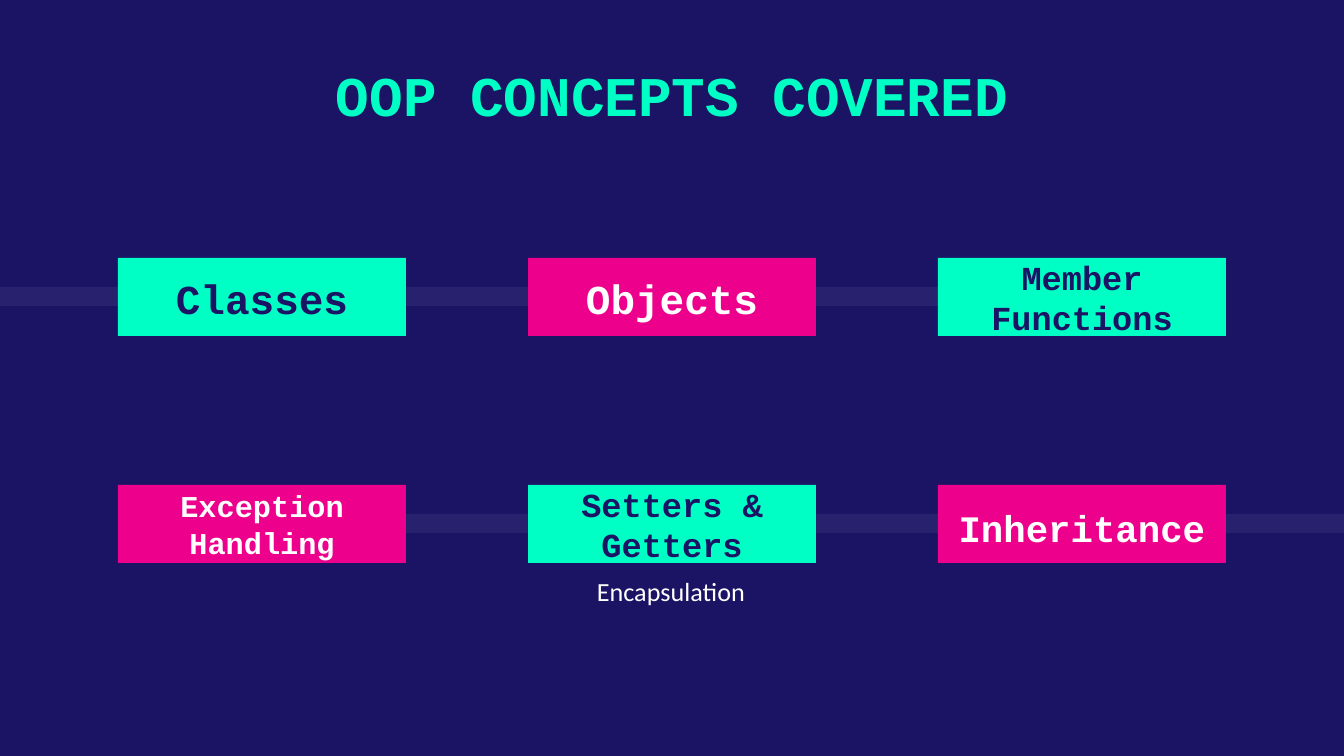
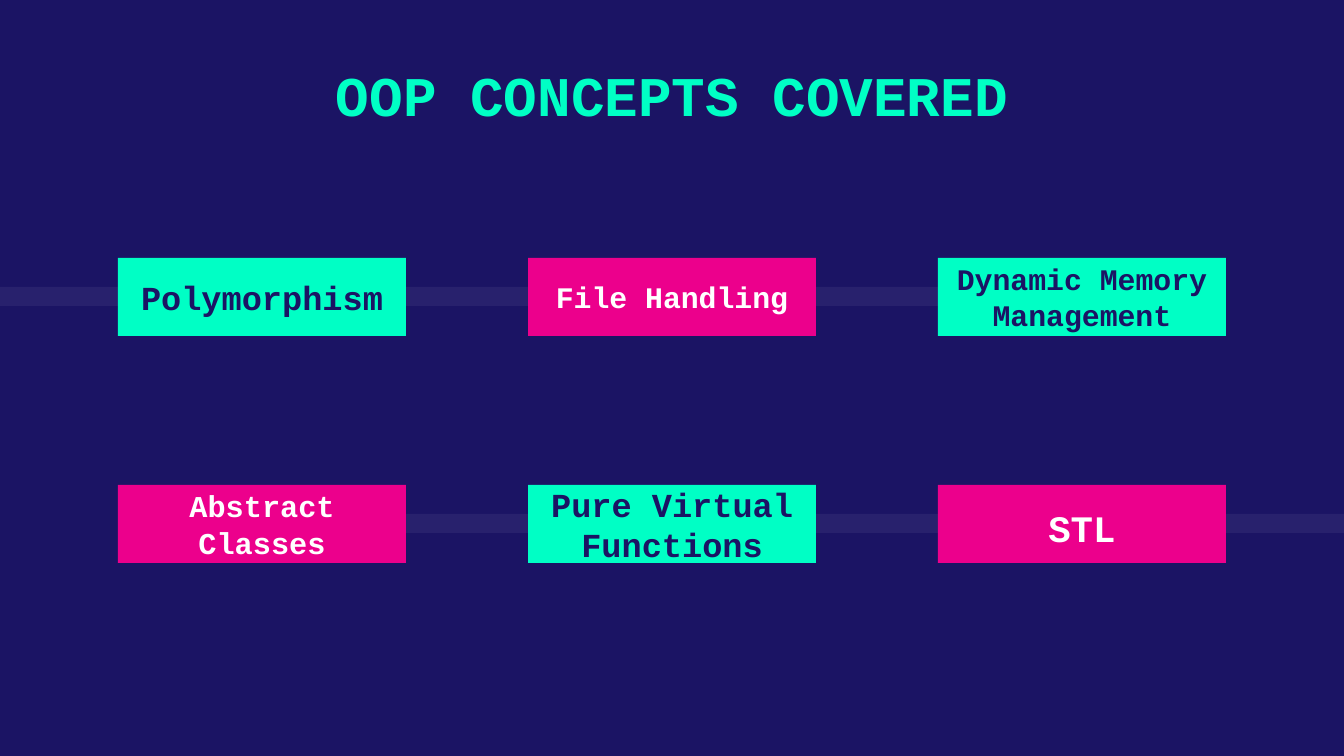
from dataclasses import dataclass

from lxml.etree import SubElement
from pptx import Presentation
from pptx.dml.color import RGBColor
from pptx.enum.shapes import MSO_SHAPE
from pptx.enum.text import MSO_ANCHOR, PP_ALIGN
from pptx.oxml.ns import qn
from pptx.shapes.autoshape import Shape
from pptx.slide import Slide
from pptx.util import Emu, Inches, Pt

# Scale and shared style
SLIDE_W, SLIDE_H = 1344, 756
EMU_PER_PX = 9144000 / SLIDE_W
NAVY, MINT, PINK, WHITE = "1B1464", "00FFC5", "EC008C", "FFFFFF"
MONO, SANS = "Courier New", "Calibri"
BAND_ALPHA = 6  # percent

# Card grid
COLS = 3
CARD_W, CARD_H = 288, 78
CARD_X, CARD_Y = 118, 258
PITCH_X, PITCH_Y = 410, 227


@dataclass(frozen=True)
class Box:
    x: int
    y: int
    w: int
    h: int


@dataclass(frozen=True)
class Card:
    text: str
    size: float
    anchor: MSO_ANCHOR = MSO_ANCHOR.MIDDLE


@dataclass(frozen=True)
class Page:
    cards: list[Card]
    caption: str = ""


TITLE = "OOP CONCEPTS COVERED"
TITLE_BOX = Box(188, 47, 968, 98)
CAPTION_BOX = Box(532, 562, 278, 98)
BANDS = [Box(0, 287, 1145, 19), Box(137, 514, 1207, 19)]

PAGES = [
    Page(
        [
            Card("Classes", 22, MSO_ANCHOR.BOTTOM),
            Card("Objects", 22, MSO_ANCHOR.BOTTOM),
            Card("Member Functions", 18),
            Card("Exception Handling", 16.2),
            Card("Setters & Getters", 18),
            Card("Inheritance", 20, MSO_ANCHOR.BOTTOM),
        ],
        caption="Encapsulation",
    ),
    Page(
        [
            Card("Polymorphism", 18),
            Card("File Handling", 16),
            Card("Dynamic Memory Management", 16),
            Card("Abstract Classes", 16.2),
            Card("Pure Virtual Functions", 18),
            Card("STL", 20, MSO_ANCHOR.BOTTOM),
        ]
    ),
]


def px(n: float) -> Emu:
    return Emu(round(n * EMU_PER_PX))


def rgb(color: str) -> RGBColor:
    return RGBColor.from_string(color)


def bounds(box: Box) -> tuple[Emu, Emu, Emu, Emu]:
    return px(box.x), px(box.y), px(box.w), px(box.h)


def add_rect(s: Slide, box: Box, color: str) -> Shape:
    sp = s.shapes.add_shape(MSO_SHAPE.RECTANGLE, *bounds(box))
    sp.shadow.inherit = False
    sp.fill.solid()
    sp.fill.fore_color.rgb = rgb(color)
    sp.line.fill.background()
    return sp


def set_text(sp: Shape, text: str, size: float, color: str, font: str = MONO,
             bold: bool = True, anchor: MSO_ANCHOR = MSO_ANCHOR.TOP) -> None:
    tf = sp.text_frame
    tf.text = text
    tf.word_wrap = True
    tf.vertical_anchor = anchor
    tf.margin_left = tf.margin_right = Inches(0.1)
    tf.margin_top = tf.margin_bottom = Inches(0.1)
    p = tf.paragraphs[0]
    p.alignment = PP_ALIGN.CENTER
    r = p.runs[0]
    r.font.name, r.font.size, r.font.bold = font, Pt(size), bold
    r.font.color.rgb = rgb(color)


def add_band(s: Slide, box: Box) -> None:
    sp = add_rect(s, box, WHITE)
    clr = sp.fill._xPr.find(qn("a:solidFill"))[0]
    SubElement(clr, qn("a:alpha"), val=str(BAND_ALPHA * 1000))


def add_card(s: Slide, index: int, card: Card) -> None:
    row, col = divmod(index, COLS)
    box = Box(CARD_X + col * PITCH_X, CARD_Y + row * PITCH_Y, CARD_W, CARD_H)
    # Fills alternate like a chessboard
    fill, ink = (PINK, WHITE) if (row + col) % 2 else (MINT, NAVY)
    set_text(add_rect(s, box, fill), card.text, card.size, ink, anchor=card.anchor)


def add_page(prs: Presentation, page: Page) -> None:
    s = prs.slides.add_slide(prs.slide_layouts[6])
    s.background.fill.solid()
    s.background.fill.fore_color.rgb = rgb(NAVY)
    for band in BANDS:
        add_band(s, band)
    set_text(s.shapes.add_textbox(*bounds(TITLE_BOX)), TITLE, 30, MINT)
    for index, card in enumerate(page.cards):
        add_card(s, index, card)
    if page.caption:
        set_text(s.shapes.add_textbox(*bounds(CAPTION_BOX)), page.caption, 14, WHITE,
                 font=SANS, bold=False)


def main() -> None:
    prs = Presentation()
    prs.slide_width, prs.slide_height = px(SLIDE_W), px(SLIDE_H)
    for page in PAGES:
        add_page(prs, page)
    prs.save("out.pptx")


if __name__ == "__main__":
    main()
